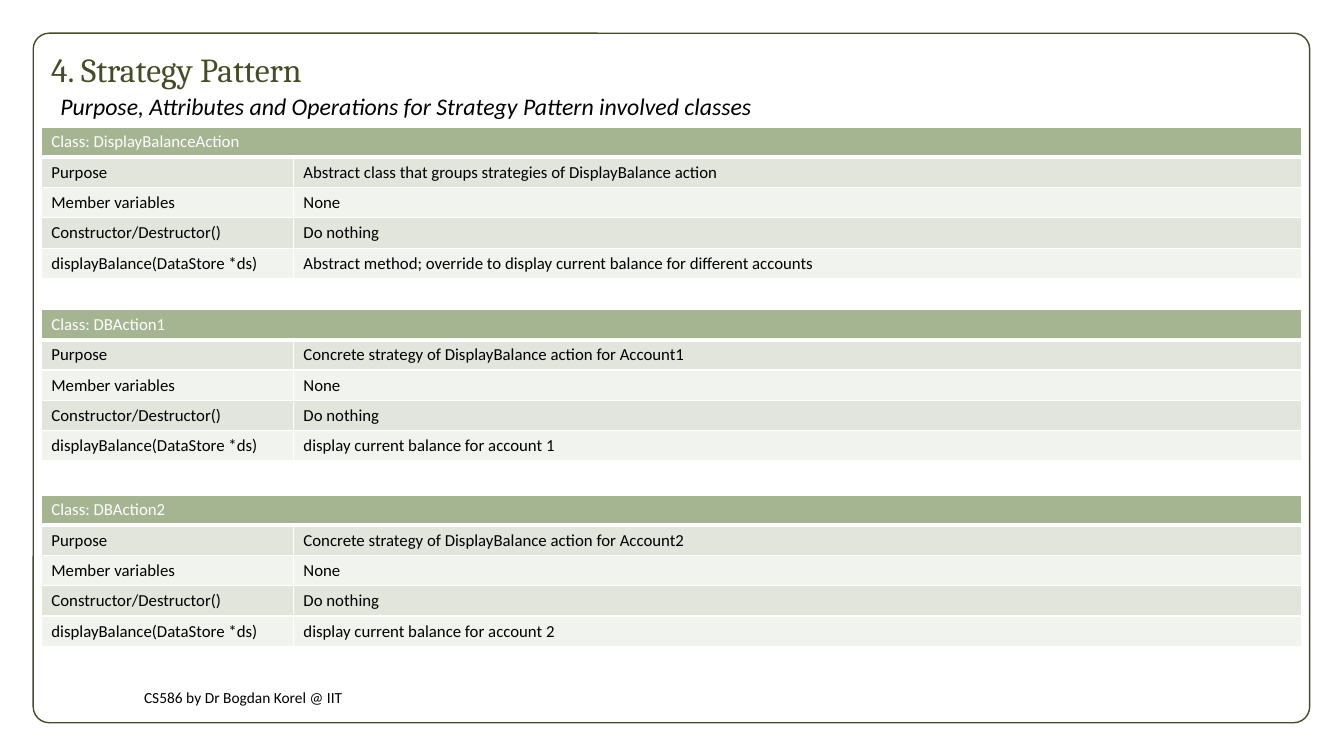
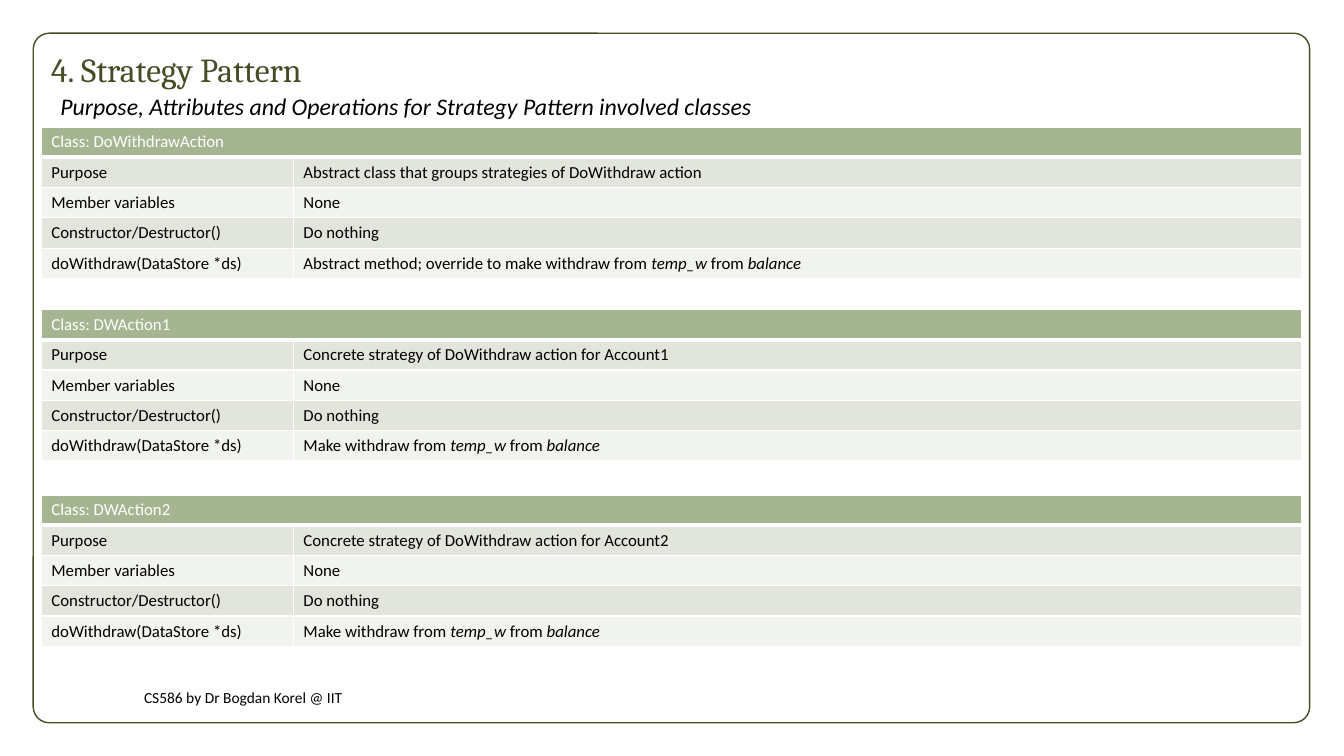
import pptx
import pptx.dml.color
import pptx.enum.shapes
import pptx.enum.text
import pptx.oxml
import pptx.oxml.ns
import pptx.util

Inches = pptx.util.Inches
RGBColor = pptx.dml.color.RGBColor
Anchor = pptx.enum.text.MSO_ANCHOR

OLIVE = RGBColor(0x44, 0x4D, 0x26)
SAGE = RGBColor(0xA5, 0xB5, 0x92)
BAND_DARK = RGBColor(0xE1, 0xE5, 0xDC)
BAND_LIGHT = RGBColor(0xF0, 0xF3, 0xEE)
WHITE = RGBColor(0xFF, 0xFF, 0xFF)
BLACK = RGBColor(0x00, 0x00, 0x00)

TITLE = "4. Strategy Pattern"
SUBTITLE = "Purpose, Attributes and Operations for Strategy Pattern involved classes"
FOOTER = "CS586 by Dr Bogdan Korel @ IIT"

# Each class: name, purpose, then the runs of the method description (every second run is italic).
WITHDRAW_RUNS = ["Make withdraw from ", "temp_w", " from ", "balance"]
SLIDES = [
    ("displayBalance(DataStore *ds)", [
        ("DisplayBalanceAction", "Abstract class that groups strategies of DisplayBalance action",
         ["Abstract method; override to display current balance for different accounts"]),
        ("DBAction1", "Concrete strategy of DisplayBalance action for Account1",
         ["display current balance for account 1"]),
        ("DBAction2", "Concrete strategy of DisplayBalance action for Account2",
         ["display current balance for account 2"]),
    ]),
    ("doWithdraw(DataStore *ds)", [
        ("DoWithdrawAction", "Abstract class that groups strategies of DoWithdraw action",
         ["Abstract method; override to make withdraw from ", "temp_w", " from ", "balance"]),
        ("DWAction1", "Concrete strategy of DoWithdraw action for Account1", WITHDRAW_RUNS),
        ("DWAction2", "Concrete strategy of DoWithdraw action for Account2", WITHDRAW_RUNS),
    ]),
]

TITLE_FONT = {"name": "Cambria", "size": pptx.util.Pt(24)}
SUBTITLE_FONT = {"name": "Calibri", "size": pptx.util.Pt(17), "italic": True}
FOOTER_FONT = {"name": "Calibri", "size": pptx.util.Pt(11)}
TABLE_FONT = {"name": "Calibri", "size": pptx.util.Pt(12)}

TABLE_LEFT = 0.41
TABLE_TOPS = (1.26, 3.07, 4.91)
COLUMN_WIDTHS = (2.5, 10)
ROW_HEIGHT = 0.3


def set_font(font, values, color):
    for name, value in values.items():
        setattr(font, name, value)
    font.color.rgb = color


def add_text(slide, box, text, font_values, color, anchor=Anchor.MIDDLE, line_spacing=None):
    frame = slide.shapes.add_textbox(*map(Inches, box)).text_frame
    frame.word_wrap = True
    frame.vertical_anchor = anchor
    paragraph = frame.paragraphs[0]
    paragraph.line_spacing = line_spacing
    run = paragraph.add_run()
    run.text = text
    set_font(run.font, font_values, color)


def add_frame(slide):
    frame = slide.shapes.add_shape(pptx.enum.shapes.MSO_SHAPE.ROUNDED_RECTANGLE,
                                   *map(Inches, (0.33, 0.33, 12.66, 6.84)))
    frame.adjustments[0] = 0.023
    frame.shadow.inherit = False
    frame.fill.solid()
    frame.fill.fore_color.rgb = WHITE
    frame.line.color.rgb = OLIVE
    frame.line.width = pptx.util.Pt(1)


def set_borders(cell, bottom_width, top_width):
    """Draw white borders, widths in points; call before the cell is filled."""
    properties = cell._tc.get_or_add_tcPr()
    for side, width in (("L", 1), ("R", 1), ("T", top_width), ("B", bottom_width)):
        properties.append(pptx.oxml.parse_xml(
            f'<a:ln{side} {pptx.oxml.ns.nsdecls("a")} w="{pptx.util.Pt(width)}">'
            f'<a:solidFill><a:srgbClr val="{WHITE}"/></a:solidFill></a:ln{side}>'))


def add_class_table(slide, top, name, purpose, method, method_runs):
    rows = [
        ([f"Class: {name}"], []),
        (["Purpose"], [purpose]),
        (["Member variables"], ["None"]),
        (["Constructor/Destructor()"], ["Do nothing"]),
        ([method], method_runs),
    ]
    table = slide.shapes.add_table(
        len(rows), len(COLUMN_WIDTHS), Inches(TABLE_LEFT), Inches(top),
        Inches(sum(COLUMN_WIDTHS)), Inches(ROW_HEIGHT * len(rows))).table
    for column, width in zip(table.columns, COLUMN_WIDTHS):
        column.width = Inches(width)
    table.cell(0, 0).merge(table.cell(0, 1))

    for row_index, row in enumerate(rows):
        is_header = row_index == 0
        fill = SAGE if is_header else BAND_DARK if row_index % 2 else BAND_LIGHT
        for column_index, runs in enumerate(row):
            cell = table.cell(row_index, column_index)
            set_borders(cell, 3 if is_header else 1, 3 if row_index == 1 else 1)
            cell.fill.solid()
            cell.fill.fore_color.rgb = fill
            paragraph = cell.text_frame.paragraphs[0]
            set_font(paragraph.font, TABLE_FONT, BLACK)
            for run_index, text in enumerate(runs):
                run = paragraph.add_run()
                run.text = text
                set_font(run.font, {**TABLE_FONT, "bold": False, "italic": run_index % 2 == 1},
                         WHITE if is_header else BLACK)


def main():
    presentation = pptx.Presentation()
    presentation.slide_width = Inches(13.33)
    presentation.slide_height = Inches(7.5)
    for method, classes in SLIDES:
        slide = presentation.slides.add_slide(presentation.slide_layouts[6])
        add_frame(slide)
        add_text(slide, (1.33, 6.75, 8.11, 0.33), FOOTER, FOOTER_FONT, BLACK)
        add_text(slide, (0.5, 0.94, 11.58, 0.31), SUBTITLE, SUBTITLE_FONT, BLACK, Anchor.TOP, 0.7)
        add_text(slide, (0.41, 0.42, 10.66, 0.53), TITLE, TITLE_FONT, OLIVE)
        for top, (name, purpose, method_runs) in zip(TABLE_TOPS, classes):
            add_class_table(slide, top, name, purpose, method, method_runs)
    presentation.save("out.pptx")


if __name__ == "__main__":
    main()
